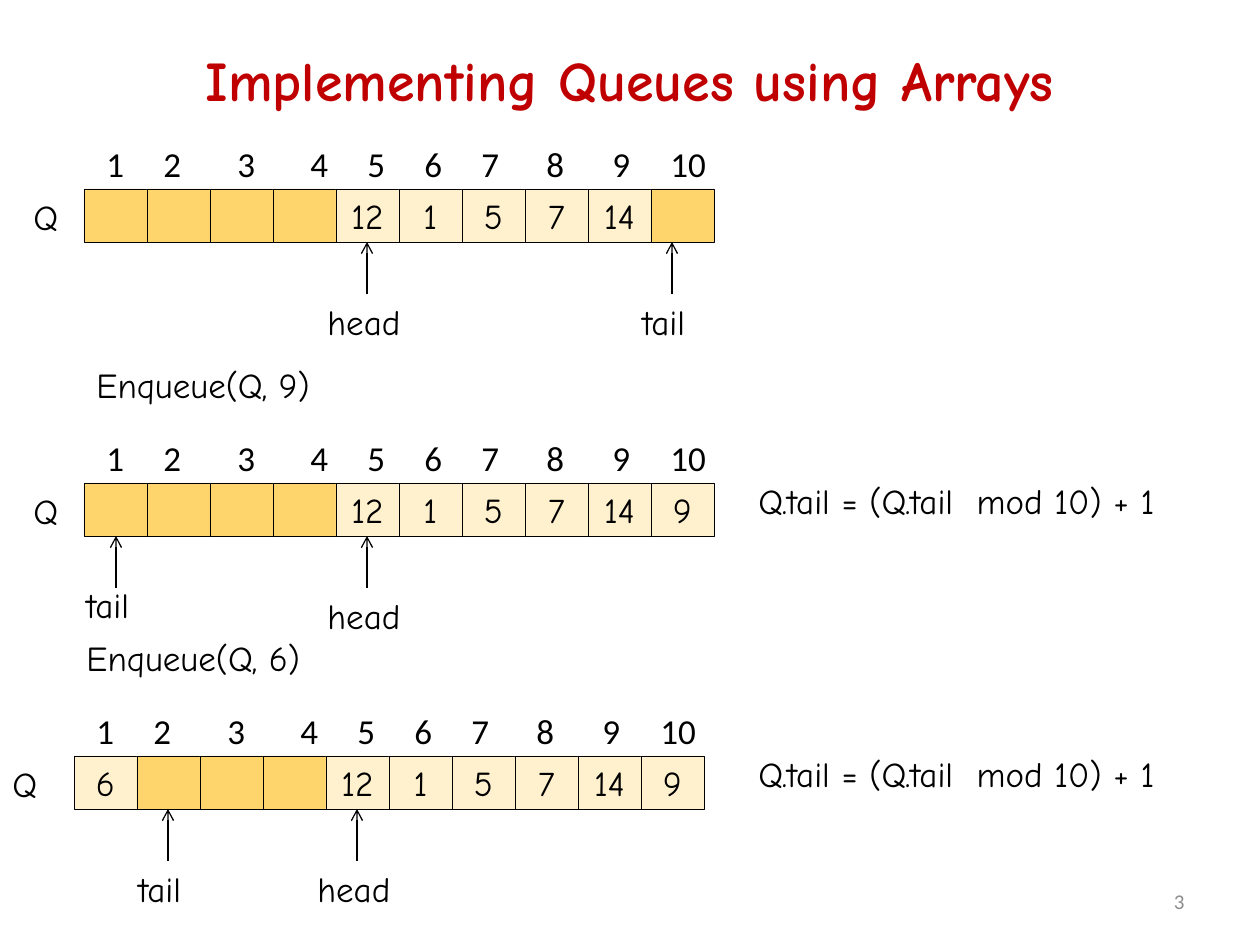
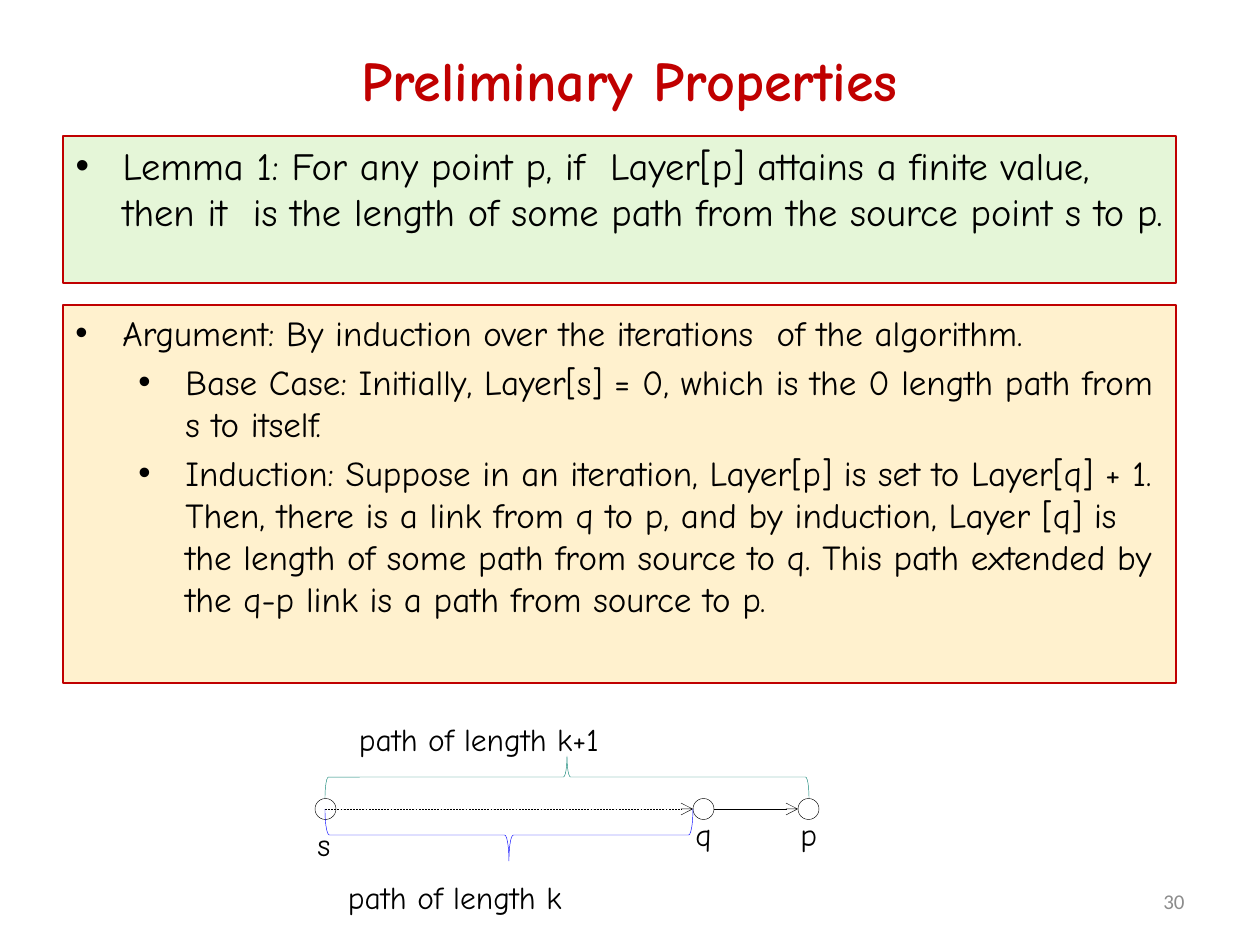
"""Build two lecture slides: queues held in arrays, and properties of a path search."""
from dataclasses import dataclass

from lxml import etree
from pptx import Presentation
from pptx.dml.color import RGBColor
from pptx.enum.dml import MSO_LINE
from pptx.enum.shapes import MSO_CONNECTOR, MSO_SHAPE
from pptx.enum.text import MSO_ANCHOR, MSO_AUTO_SIZE, PP_ALIGN
from pptx.oxml.ns import qn
from pptx.util import Pt

EMU_PER_PIXEL = 914400 / 126
LEFT, CENTER, RIGHT = PP_ALIGN.LEFT, PP_ALIGN.CENTER, PP_ALIGN.RIGHT
TOP, MIDDLE = MSO_ANCHOR.TOP, MSO_ANCHOR.MIDDLE
RECTANGLE, ELLIPSE, BRACE = MSO_SHAPE.RECTANGLE, MSO_SHAPE.OVAL, MSO_SHAPE.LEFT_BRACE
FIT_SHAPE, NO_FIT = MSO_AUTO_SIZE.SHAPE_TO_FIT_TEXT, MSO_AUTO_SIZE.NONE
STRAIGHT, DASH = MSO_CONNECTOR.STRAIGHT, MSO_LINE.DASH


@dataclass(frozen=True)
class Theme:
    """Colours, fonts, type sizes and line widths of the deck."""
    ink: str = "000000"
    red: str = "C00000"
    grey: str = "8C8C8C"
    empty_cell: str = "FED46C"
    cream: str = "FFF1CE"
    green: str = "E5F6D8"
    blue: str = "0000FF"
    teal: str = "138677"
    hand: str = "Comic Neue"
    plain: str = "Calibri"
    title: int = 32
    lemma: int = 22
    text: int = 20
    caption: int = 18
    number: int = 12
    thin: float = 0.25
    medium: float = 0.75


THEME = Theme()

QUEUE_TITLE, QUEUE_NUMBER = "Implementing Queues using Arrays", "3"
FORMULA = "Q.tail = (Q.tail  mod 10) + 1"
QUEUES = [
    dict(left=84, top=189, name_left=21, values=["", "", "", "", 12, 1, 5, 7, 14, ""],
         head=367, tail=672, tail_drop=105, formula=""),
    dict(left=84, top=483, name_left=21, values=["", "", "", "", 12, 1, 5, 7, 14, 9],
         head=367, tail=116, tail_drop=94, formula=FORMULA),
    dict(left=74, top=756, name_left=0, values=[6, "", "", "", 12, 1, 5, 7, 14, 9],
         head=357, tail=168, tail_drop=105, formula=FORMULA),
]
OPERATIONS = [("Enqueue(Q, 9)", 84, 357), ("Enqueue(Q, 6)", 74, 630)]
INDEX_TABS = [57, 131, 204, 261, 318, 375, 440, 506, 564]
CELL_WIDTH, CELL_HEIGHT, ARROW_LENGTH = 63, 53, 52

PROPERTY_TITLE, PROPERTY_NUMBER = "Preliminary Properties", "30"
LEMMA = [(0, "Lemma 1: For any point p, if  Layer[p] attains a finite value, then it  is the "
             "length of some path from the source point s to p.")]
ARGUMENT = [
    (0, "Argument: By induction over the iterations  of the algorithm."),
    (1, "Base Case: Initially, Layer[s] = 0, which is the 0 length path from s to itself."),
    (1, "Induction: Suppose in an iteration, Layer[p] is set to Layer[q] + 1. Then, there is a "
        "link from q to p, and by induction, Layer [q] is the length of some path from source "
        "to q. This path extended by the q-p link is a path from source to p."),
]
NODE_SIZE, NODE_MIDDLE = 21, 809
NODES = [315, 693, 798]
LINKS = [(325, 693, DASH), (714, 798, None)]
BRACES = [(325, 693, 809, 52, 270, THEME.blue), (325, 809, 756, 42, 90, THEME.teal)]
CAPTIONS = [("s", 305, 819, 40), ("q", 683, 809, 42), ("p", 788, 809, 43),
            (" path of length k", 325, 872, 273), (" path of length k+1", 336, 714, 302)]


def px(value):
    """Turn pixels into EMU."""
    return round(value * EMU_PER_PIXEL)


def place(shape, left, top, width, height):
    """Set the frame of a shape in pixels."""
    shape.left, shape.top, shape.width, shape.height = map(px, (left, top, width, height))


def style(paragraph, size, color=THEME.ink, font=THEME.hand, align=LEFT, bold=False):
    """Format a whole paragraph."""
    paragraph.alignment = align
    paragraph.font.name, paragraph.font.size, paragraph.font.bold = font, Pt(size), bold
    paragraph.font.color.rgb = RGBColor.from_string(color)


def outline(shape, color, width):
    """Colour the line of a shape or connector."""
    shape.line.color.rgb = RGBColor.from_string(color)
    shape.line.width = Pt(width)


def fill(shape, color):
    """Fill a shape with one colour."""
    shape.fill.solid()
    shape.fill.fore_color.rgb = RGBColor.from_string(color)


def add_text(slide, text, left, top, width, height=55, size=THEME.text, **look):
    """Add a one-line text box that fits its text."""
    box = slide.shapes.add_textbox(*map(px, (left, top, width, height)))
    frame = box.text_frame
    frame.word_wrap, frame.auto_size = False, FIT_SHAPE
    frame.text = text
    style(frame.paragraphs[0], size, **look)
    return box


def add_shape(slide, kind, left, top, width, height, color=None, line=THEME.ink, weight=THEME.thin):
    """Add a preset shape, hollow unless a colour is given."""
    shape = slide.shapes.add_shape(kind, *map(px, (left, top, width, height)))
    shape.shadow.inherit = False
    outline(shape, line, weight)
    if color:
        fill(shape, color)
    else:
        shape.fill.background()
    return shape


def add_arrow(slide, start, end, weight, dash=None):
    """Add a straight arrow that points at its end."""
    arrow = slide.shapes.add_connector(STRAIGHT, *map(px, start + end))
    outline(arrow, THEME.ink, weight)
    if dash:
        arrow.line.dash_style = dash
    properties = arrow.element.spPr
    etree.SubElement(properties.find(qn("a:ln")), qn("a:tailEnd"), type="arrow")
    etree.SubElement(properties, qn("a:effectLst"))


def add_bullets(shape, items, size):
    """Write bulleted paragraphs of one size into a shape."""
    frame = shape.text_frame
    frame.word_wrap, frame.auto_size, frame.vertical_anchor = True, NO_FIT, TOP
    for position, (level, text) in enumerate(items):
        paragraph = frame.paragraphs[0] if position == 0 else frame.add_paragraph()
        paragraph.text, paragraph.level = text, level
        paragraph.space_before = Pt(size * 0.2)
        properties = paragraph._p.get_or_add_pPr()
        properties.set("marL", str(px(47 + 63 * level)))
        properties.set("indent", str(px(-47)))
        etree.SubElement(properties, qn("a:buFont"), typeface="Arial")
        etree.SubElement(properties, qn("a:buChar"), char="•")
        style(paragraph, size)


def add_index_row(slide, left, top):
    """Number the cells of a queue, spaced by tab stops."""
    text = "\t".join(str(number) for number in range(1, len(INDEX_TABS) + 2))
    box = add_text(slide, text, left, top, 627, font=THEME.plain)
    box.text_frame.word_wrap = True
    properties = box.text_frame.paragraphs[0]._p.get_or_add_pPr()
    stops = etree.Element(qn("a:tabLst"))
    for stop in INDEX_TABS:
        etree.SubElement(stops, qn("a:tab"), pos=str(px(stop)), algn="l")
    properties.insert(0, stops)


def add_queue(slide, queue):
    """Draw one queue with its name, indices, cells and pointers."""
    left, top = queue["left"], queue["top"]
    bottom = top + CELL_HEIGHT
    add_text(slide, "Q", queue["name_left"], top, 57)
    add_index_row(slide, left + 10, top - 53)
    for column, value in enumerate(queue["values"]):
        color = THEME.empty_cell if value == "" else THEME.cream
        cell = add_shape(slide, RECTANGLE, left + column * CELL_WIDTH, top,
                         CELL_WIDTH, CELL_HEIGHT, color)
        if value != "":
            cell.text_frame.text = str(value)
            cell.text_frame.vertical_anchor = MIDDLE
            style(cell.text_frame.paragraphs[0], THEME.text, align=CENTER)
    pointers = [("head", queue["head"], 52, 105, 105),
                ("tail", queue["tail"], 42, 79, queue["tail_drop"])]
    for label, x, offset, width, drop in pointers:
        add_arrow(slide, (x, bottom + ARROW_LENGTH), (x, bottom), THEME.medium)
        add_text(slide, label, x - offset, top + drop, width)
    if queue["formula"]:
        add_text(slide, queue["formula"], 746, top - 10, 469)


def add_slide(presentation, layout, title, number):
    """Add a slide with its red title and its number."""
    slide = presentation.slides.add_slide(presentation.slide_layouts.get_by_name(layout))
    heading = slide.shapes.title
    place(heading, 63, 0, 1134, 158)
    heading.text_frame.text = title
    heading.text_frame.vertical_anchor = MIDDLE
    style(heading.text_frame.paragraphs[0], THEME.title, THEME.red, align=CENTER, bold=True)
    box = add_text(slide, number, 903, 876, 294, 50, THEME.number,
                   color=THEME.grey, font=THEME.plain, align=RIGHT)
    box.text_frame.word_wrap, box.text_frame.auto_size = True, NO_FIT
    box.text_frame.vertical_anchor = MIDDLE
    return slide


def build_queue_slide(presentation):
    """Show a queue before and after two insertions."""
    slide = add_slide(presentation, "Title Only", QUEUE_TITLE, QUEUE_NUMBER)
    for queue in QUEUES:
        add_queue(slide, queue)
    for text, left, top in OPERATIONS:
        add_text(slide, text, left, top, 258)


def build_property_slide(presentation):
    """State the lemma and its argument above a path diagram."""
    slide = add_slide(presentation, "Title and Content", PROPERTY_TITLE, PROPERTY_NUMBER)
    lemma = slide.placeholders[1]
    place(lemma, 63, 136, 1113, 147)
    fill(lemma, THEME.green)
    outline(lemma, THEME.red, THEME.medium)
    add_bullets(lemma, LEMMA, THEME.lemma)
    argument = add_shape(slide, RECTANGLE, 63, 305, 1113, 378,
                         THEME.cream, THEME.red, THEME.medium)
    add_bullets(argument, ARGUMENT, THEME.text)
    for left in NODES:
        add_shape(slide, ELLIPSE, left, NODE_MIDDLE - NODE_SIZE / 2, NODE_SIZE, NODE_SIZE)
    for start, end, dash in LINKS:
        add_arrow(slide, (start, NODE_MIDDLE), (end, NODE_MIDDLE), THEME.thin, dash)
    for start, end, top, depth, rotation, color in BRACES:
        span = end - start
        brace = add_shape(slide, BRACE, (start + end - depth) / 2, top + (depth - span) / 2,
                          depth, span, line=color)
        brace.rotation = rotation
    for text, left, top, width in CAPTIONS:
        add_text(slide, text, left, top, width, 50, THEME.caption)


def main():
    """Build and save the presentation."""
    presentation = Presentation()
    presentation.slide_width, presentation.slide_height = px(1260), px(945)
    build_queue_slide(presentation)
    build_property_slide(presentation)
    presentation.save("out.pptx")


main()
